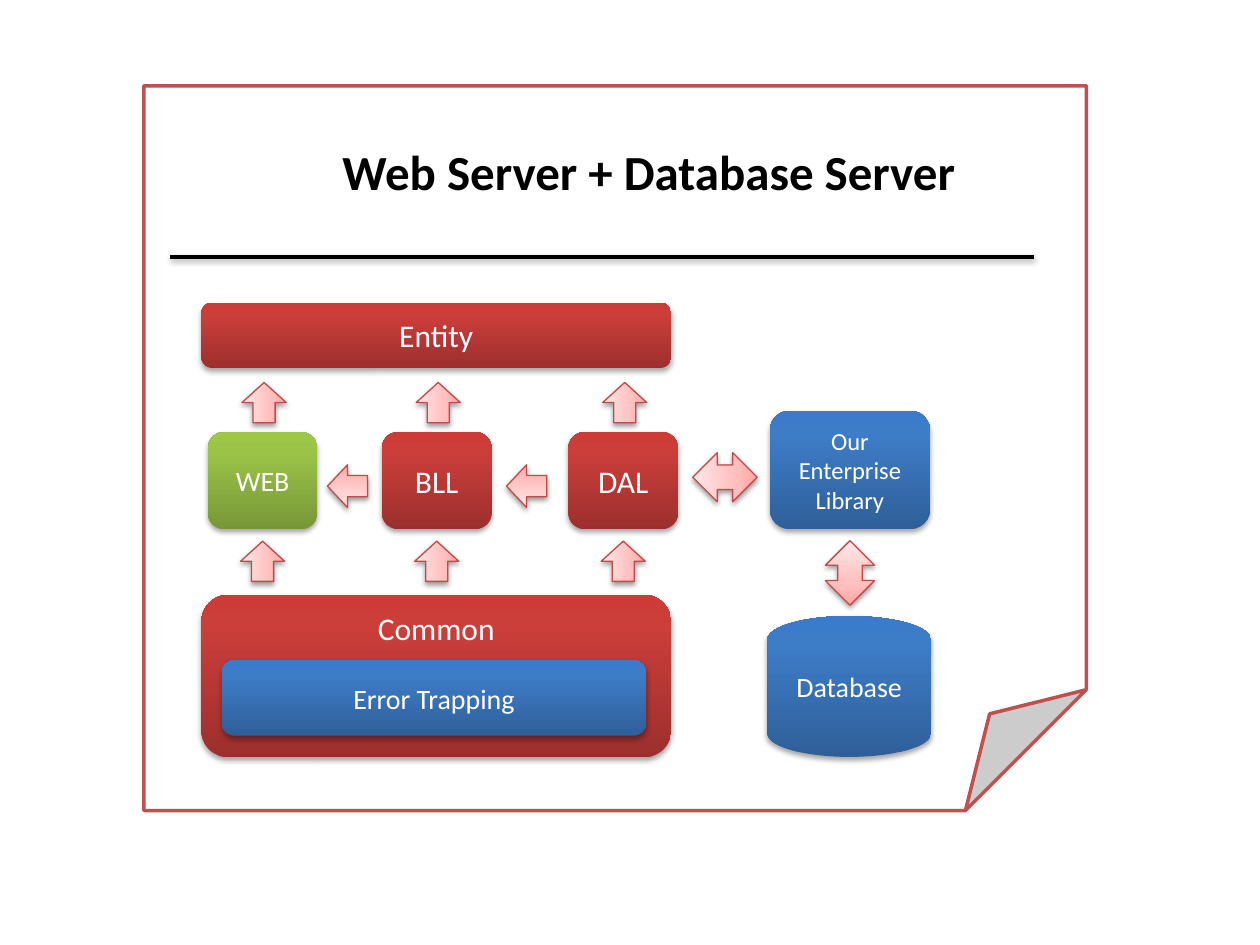
from copy import deepcopy
from lxml import etree
from pptx import Presentation
from pptx.dml.color import RGBColor
from pptx.enum.shapes import MSO_CONNECTOR as CONN, MSO_SHAPE as SHAPE
from pptx.enum.text import MSO_ANCHOR as ANCHOR, MSO_AUTO_SIZE as AUTO, PP_ALIGN as ALIGN
from pptx.oxml.ns import qn
from pptx.util import Cm, Pt

BLACK = RGBColor(0x00, 0x00, 0x00)
WHITE = RGBColor(0xFF, 0xFF, 0xFF)
PAGE_EDGE = RGBColor(0xC0, 0x50, 0x4D)
ARROW_EDGE = RGBColor(0xBF, 0x4C, 0x48)
GREEN = [(0, RGBColor(0x77, 0x97, 0x37)), (0.8, RGBColor(0x9B, 0xC3, 0x48)), (1, RGBColor(0x9D, 0xC7, 0x46))]
RED = [(0, RGBColor(0x9C, 0x2F, 0x2D)), (0.8, RGBColor(0xCB, 0x3E, 0x3A)), (1, RGBColor(0xCE, 0x3B, 0x37))]
BLUE = [(0, RGBColor(0x2F, 0x5F, 0x99)), (0.8, RGBColor(0x3D, 0x7C, 0xC7)), (1, RGBColor(0x3A, 0x7C, 0xCB))]
PINK = [(0, RGBColor(0xFF, 0xA6, 0xA5)), (0.35, RGBColor(0xFF, 0xC0, 0xBF)), (1, RGBColor(0xFF, 0xE7, 0xE7))]


def add_shadow(spPr, dist, alpha):
    effects = spPr.find(qn("a:effectLst"))
    if effects is None:
        effects = etree.SubElement(spPr, qn("a:effectLst"))
    shadow = etree.SubElement(effects, qn("a:outerShdw"), blurRad=str(Pt(3.1)), dist=str(Pt(dist)),
                              dir="5400000", rotWithShape="0")
    color = etree.SubElement(shadow, qn("a:srgbClr"), val=str(BLACK))
    etree.SubElement(color, qn("a:alpha"), val=str(alpha * 1000))


def add_gradient_shape(kind, box, stops, dist, alpha):
    sp = s.shapes.add_shape(kind, *map(Cm, box))
    sp.fill.gradient()
    sp.fill.gradient_angle = 90
    gs_list = sp._element.spPr.find(".//" + qn("a:gsLst"))
    gs_list.append(deepcopy(gs_list[0]))
    for stop, (position, color) in zip(sp.fill.gradient_stops, stops):
        stop.position = position
        stop.color.rgb = color
    sp.shadow.inherit = False
    add_shadow(sp._element.spPr, dist, alpha)
    return sp


prs = Presentation()
prs.slide_width, prs.slide_height = Cm(25.4), Cm(19.05)
s = prs.slides.add_slide(prs.slide_layouts[5])

page = s.shapes.add_shape(SHAPE.FOLDED_CORNER, Cm(2.9), Cm(1.73), Cm(19), Cm(14.61))
page.shadow.inherit = False
page.fill.solid()
page.fill.fore_color.rgb = WHITE
page.line.color.rgb = PAGE_EDGE
page.line.width = Pt(2)

title = s.shapes.title
page._element.addnext(title._element)
for name, value in dict(left=6.65, top=2.72, width=13.03, height=1.45).items():
    setattr(title, name, Cm(value))
tf = title.text_frame
tf.text = "Web Server + Database Server"
for name, value in dict(word_wrap=False, auto_size=AUTO.NONE, vertical_anchor=ANCHOR.TOP).items():
    setattr(tf, name, value)
p = tf.paragraphs[0]
p.alignment = ALIGN.LEFT
for name, value in dict(name="Calibri", size=Pt(28), bold=True).items():
    setattr(p.font, name, value)
p.font.color.rgb = BLACK

ROUND, DISK = SHAPE.ROUNDED_RECTANGLE, SHAPE.FLOWCHART_MAGNETIC_DISK
LAYER_X = [4.19, 7.7, 11.46]
boxes = [
    (ROUND, (LAYER_X[0], 8.71, 2.21, 1.96), GREEN, ["WEB"], 16, ANCHOR.MIDDLE),
    (ROUND, (LAYER_X[1], 8.71, 2.21, 1.96), RED, ["BLL"], 18, ANCHOR.MIDDLE),
    (ROUND, (LAYER_X[2], 8.71, 2.21, 1.96), RED, ["DAL"], 18, ANCHOR.MIDDLE),
    (ROUND, (4.06, 6.1, 9.47, 1.32), RED, ["Entity"], 18, ANCHOR.MIDDLE),
    (ROUND, (4.06, 11.99, 9.47, 3.28), RED, ["Common"], 18, ANCHOR.TOP),
    (ROUND, (4.47, 13.31, 8.56, 1.52), BLUE, ["Error Trapping"], 16, ANCHOR.MIDDLE),
    (ROUND, (15.52, 8.28, 3.23, 2.39), BLUE, ["Our", "Enterprise", "Library"], 14, ANCHOR.MIDDLE),
    (DISK, (15.47, 12.42, 3.3, 2.84), BLUE, ["Database"], 16, ANCHOR.TOP),
]
for kind, box, stops, lines, size, anchor in boxes:
    sp = add_gradient_shape(kind, box, stops, 1.8, 35)
    sp.line.fill.background()
    tf = sp.text_frame
    tf.word_wrap = True
    tf.vertical_anchor = anchor
    tf.text = "\n".join(lines)
    for p in tf.paragraphs:
        p.alignment = ALIGN.CENTER
        p.font.name = "Calibri"
        p.font.size = Pt(size)
        p.font.color.rgb = WHITE

RIGHT, UP_DOWN = SHAPE.RIGHT_ARROW, SHAPE.UP_DOWN_ARROW
arrows = [(RIGHT, (x, 9.37, 0.81, 0.86), 180) for x in (6.6, 10.21)]
arrows += [(RIGHT, (x + dx, y, 0.81, 0.89), 270) for dx, y in ((0.7, 10.87), (0.73, 7.67)) for x in LAYER_X]
arrows += [(UP_DOWN, (14.12, 8.97, 0.99, 1.3), 270), (UP_DOWN, (16.64, 10.9, 0.99, 1.3), 0)]
for kind, box, rotation in arrows:
    sp = add_gradient_shape(kind, box, PINK, 1.6, 38)
    sp.rotation = rotation
    sp.line.color.rgb = ARROW_EDGE
    sp.line.width = Pt(0.75)

rule = s.shapes.add_connector(CONN.STRAIGHT, Cm(3.43), Cm(5.18), Cm(20.85), Cm(5.18))
rule.line.color.rgb = BLACK
rule.line.width = Pt(2)
add_shadow(rule._element.spPr, 1.6, 38)

prs.save("out.pptx")
